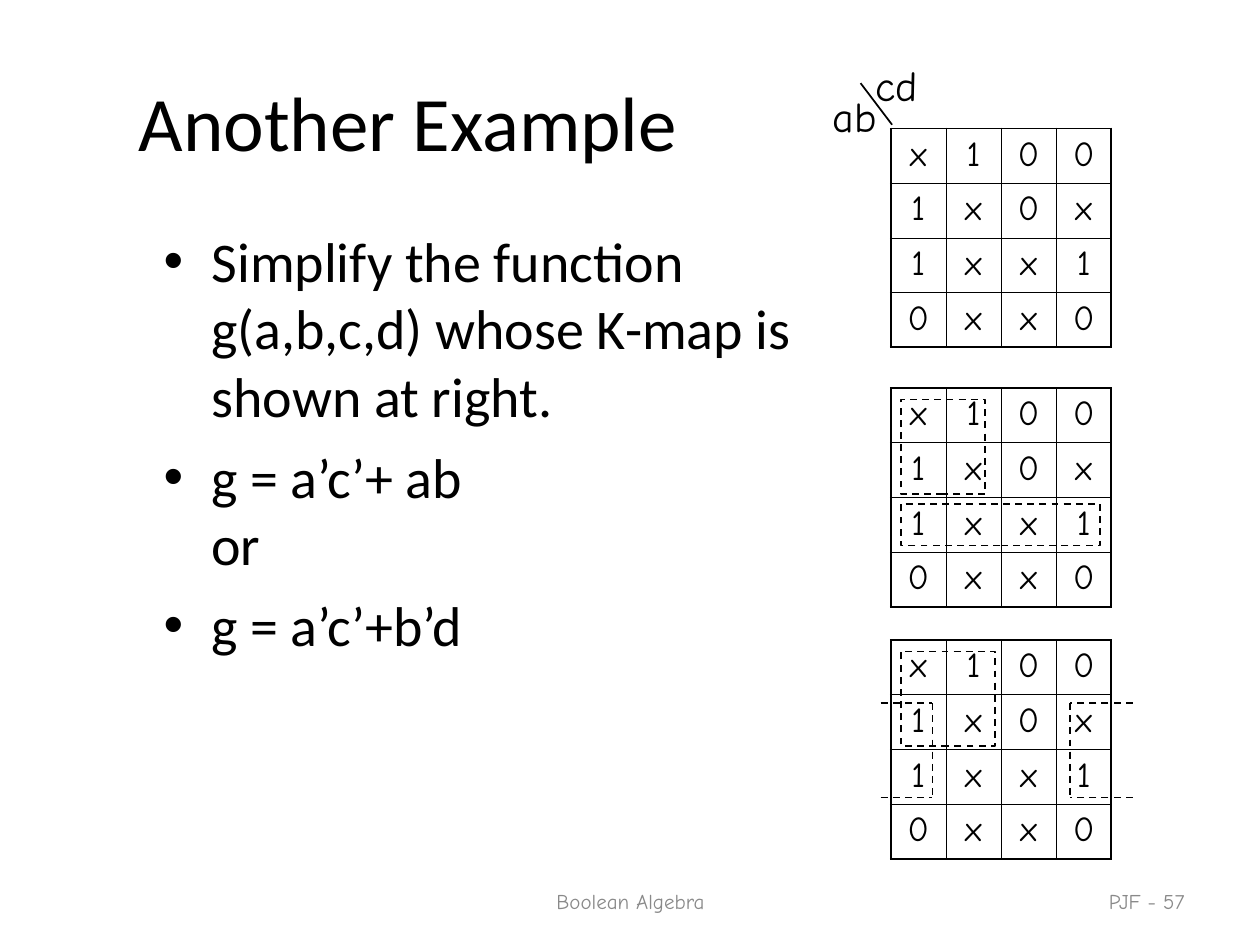
from lxml import etree
from pptx import Presentation
from pptx.dml.color import RGBColor
from pptx.enum.dml import MSO_LINE
from pptx.enum.shapes import MSO_CONNECTOR, MSO_SHAPE
from pptx.enum.text import MSO_ANCHOR, MSO_AUTO_SIZE, PP_ALIGN
from pptx.oxml.ns import qn
from pptx.util import Inches, Pt

BLACK = RGBColor(0x00, 0x00, 0x00)
GREY = RGBColor(0x89, 0x89, 0x89)
LEFT, CENTER, RIGHT = PP_ALIGN.LEFT, PP_ALIGN.CENTER, PP_ALIGN.RIGHT
TOP, MIDDLE = MSO_ANCHOR.TOP, MSO_ANCHOR.MIDDLE
DASH, STRAIGHT, RECT = MSO_LINE.DASH, MSO_CONNECTOR.STRAIGHT, MSO_SHAPE.RECTANGLE
FIT = MSO_AUTO_SIZE.SHAPE_TO_FIT_TEXT

COLS, ROWS = 100, 75  # grid over the slide
SANS, HAND = "Calibri", "Comic Neue"
THIN, THICK = 0.45, 1.08  # K-map inner and outer rules

KMAP = ["x100", "1x0x", "1xx1", "0xx0"]
MAP_LEFT, MAP_W, MAP_H = 70.7, 17.5, 17.3
MAP_TOPS = [10.2, 30.8, 50.8]


class Slide:
    def __init__(self, prs):
        self.s = prs.slides.add_slide(prs.slide_layouts[6])
        self.col = prs.slide_width / COLS
        self.row = prs.slide_height / ROWS

    def box(self, *lengths):
        units = (self.col, self.row) * 2
        return [round(n * u) for n, u in zip(lengths, units)]

    def style(self, p, text, size, font=HAND, color=BLACK, align=LEFT):
        p.text = text
        p.alignment = align
        for r in p.runs:
            for name, value in {"size": Pt(size), "name": font}.items():
                setattr(r.font, name, value)
            r.font.color.rgb = color

    def text(self, at, lines, size, anchor=TOP, indent=0, wrap=True,
             bullets=False, **fmt):
        tf = self.s.shapes.add_textbox(*self.box(*at)).text_frame
        tf.word_wrap = wrap
        tf.vertical_anchor = anchor
        tf.margin_left += round(indent * self.col)
        if not wrap:
            tf.auto_size = FIT
        for i, line in enumerate(lines):
            p = tf.add_paragraph() if i else tf.paragraphs[0]
            if bullets:
                self.bullet(p)
            self.style(p, line, size, **fmt)
            if i:
                p.space_before = Pt(8)

    def bullet(self, p):
        pPr = p._p.get_or_add_pPr()
        hang = Inches(0.38)
        pPr.set("marL", str(hang))
        pPr.set("indent", str(-hang))
        etree.SubElement(pPr, qn("a:buFont")).set("typeface", "Arial")
        etree.SubElement(pPr, qn("a:buChar")).set("char", "•")

    def kmap(self, top):
        n = len(KMAP)
        frame = self.s.shapes.add_table(
            n, n, *self.box(MAP_LEFT, top, MAP_W, MAP_H))
        table = frame.table
        table.first_row = table.horz_banding = False
        for i, values in enumerate(KMAP):
            table.columns[i].width = round(MAP_W / n * self.col)
            table.rows[i].height = round(MAP_H / n * self.row)
            for j, value in enumerate(values):
                cell = table.cell(i, j)
                cell.fill.background()
                self.style(cell.text_frame.paragraphs[0], value, 20,
                           align=CENTER)
                self.borders(cell, {"L": j == 0, "R": j == n - 1,
                                    "T": i == 0, "B": i == n - 1})

    def borders(self, cell, outer):
        tcPr = cell._tc.get_or_add_tcPr()
        for k, (side, is_outer) in enumerate(outer.items()):
            ln = etree.Element(qn("a:ln" + side))
            ln.set("w", str(Pt(THICK if is_outer else THIN)))
            fill = etree.SubElement(ln, qn("a:solidFill"))
            etree.SubElement(fill, qn("a:srgbClr")).set("val", str(BLACK))
            tcPr.insert(k, ln)

    def outline(self, shape, dash):
        shape.line.color.rgb = BLACK
        shape.line.width = Pt(1)
        if dash:
            shape.line.dash_style = dash

    def loop(self, *at):
        shape = self.s.shapes.add_shape(RECT, *self.box(*at))
        shape.shadow.inherit = False
        shape.fill.background()
        self.outline(shape, DASH)

    def line(self, *ends, shapes=None, dash=None):
        shapes = self.s.shapes if shapes is None else shapes
        c = shapes.add_connector(STRAIGHT, *self.box(*ends))
        self.outline(c, dash)
        etree.SubElement(c._element.spPr, qn("a:effectLst"))

    def bracket(self, open_x, x, top, bottom):
        shapes = self.s.shapes.add_group_shape().shapes
        for ends in [(open_x, top, x, top), (x, top, x, bottom),
                     (open_x, bottom, x, bottom)]:
            self.line(*ends, shapes=shapes, dash=DASH)


def main():
    prs = Presentation()
    prs.slide_width, prs.slide_height = Inches(10), Inches(7.5)
    s = Slide(prs)

    # Title and body
    s.text((0, 3.3, 100, 12.5), ["Another Example"], 44, anchor=MIDDLE,
           indent=10, font=SANS)
    s.text((12, 17.5, 53.8, 49.5),
           ["Simplify the function g(a,b,c,d) whose K-map is shown at right.",
            "g = a’c’+ ab\vor", "g = a’c’+b’d"],
           32, bullets=True, font=SANS)

    # Footer
    s.text((34.2, 69.5, 31.7, 4), ["Boolean Algebra"], 12, anchor=MIDDLE,
           color=GREY, align=CENTER)
    s.text((71.7, 69.5, 23.3, 4), ["PJF - 57"], 12, anchor=MIDDLE,
           color=GREY, align=RIGHT)

    # K-maps: given, first cover, second cover
    for top in MAP_TOPS:
        s.kmap(top)

    # Loops around the grouped cells
    s.loop(71.5, 31.7, 6.7, 7.5)
    s.loop(71.5, 40, 15.8, 3.3)
    s.loop(71.5, 51.7, 7.5, 7.5)

    # Loop that wraps round the sides of the last map
    for open_x, x in [(69.9, 74), (89.9, 84.9)]:
        s.bracket(open_x, x, 55.8, 63.3)

    # Variable labels at the corner of the first map
    s.text((65.1, 6.7, 5.5, 5), ["ab"], 24, wrap=False)
    s.text((68.5, 4.2, 5.4, 5), ["cd"], 24, wrap=False)
    s.line(70.8, 9.9, 68.3, 6.6)

    prs.save("out.pptx")


if __name__ == "__main__":
    main()
